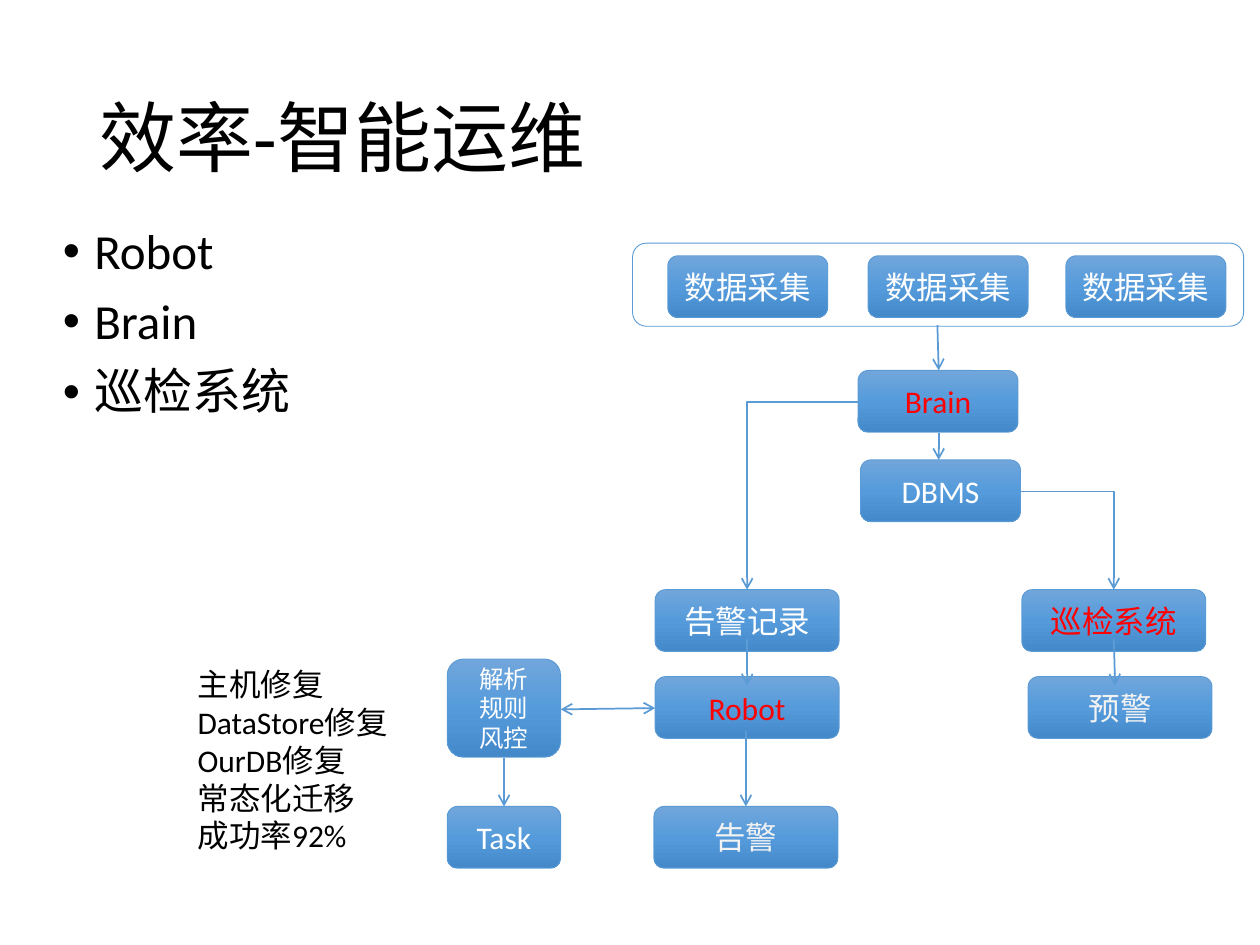
from copy import deepcopy

from lxml.etree import SubElement
from pptx import Presentation
from pptx.dml.color import RGBColor
from pptx.enum.shapes import MSO_CONNECTOR, MSO_SHAPE
from pptx.enum.text import MSO_ANCHOR, PP_ALIGN
from pptx.oxml.ns import qn
from pptx.util import Inches, Pt

COLORS = {
    "black": "000000", "white": "FFFFFF", "gray": "F2F2F2", "red": "FF0000",
    "line": "5B9BD5", "top": "71A6DB", "middle": "559BDB", "bottom": "448ACA",
}


def write_lines(shape, lines, size, color, align=PP_ALIGN.LEFT):
    """Write one paragraph per line and return the paragraphs."""
    frame = shape.text_frame
    frame.word_wrap = True
    for index, line in enumerate(lines):
        paragraph = frame.paragraphs[0] if index == 0 else frame.add_paragraph()
        paragraph.alignment = align
        run = paragraph.add_run()
        run.text = line
        run.font.name = "Calibri"
        run.font.size = Pt(size)
        run.font.color.rgb = RGBColor.from_string(COLORS[color])
    return frame.paragraphs


def add_rounded(left, top, width, height):
    """Add a rounded rectangle with the thin blue outline."""
    shape = slide.shapes.add_shape(
        MSO_SHAPE.ROUNDED_RECTANGLE,
        Inches(left), Inches(top), Inches(width), Inches(height))
    shape.shadow.inherit = False
    shape.line.color.rgb = RGBColor.from_string(COLORS["line"])
    shape.line.width = Pt(0.5)
    return shape


presentation = Presentation()
presentation.slide_width = Inches(10)
presentation.slide_height = Inches(7.5)
slide = presentation.slides.add_slide(presentation.slide_layouts[6])

# Title
title = slide.shapes.add_textbox(Inches(0.69), Inches(0.4), Inches(8.62), Inches(1.45))
title.text_frame.vertical_anchor = MSO_ANCHOR.MIDDLE
write_lines(title, ["效率-智能运维"], 44, "black")[0].line_spacing = 0.9

# Bullet list
bullets = slide.shapes.add_textbox(Inches(0.4), Inches(1.75), Inches(2.98), Inches(2.15))
for paragraph in write_lines(bullets, ["Robot", "Brain", "巡检系统"], 28, "black"):
    paragraph.line_spacing = 0.9
    paragraph.space_before = Pt(10)
    properties = paragraph._p.get_or_add_pPr()
    properties.set("marL", str(Inches(0.25)))
    properties.set("indent", str(-Inches(0.25)))
    SubElement(properties, qn("a:buFont")).set("typeface", "Arial")
    SubElement(properties, qn("a:buChar")).set("char", "•")

# Boxes: lines, left, top, width, height, text size, text colour
boxes = [
    (["数据采集"], 5.3, 2.03, 1.27, 0.49, 18, "white"),
    (["数据采集"], 6.89, 2.03, 1.27, 0.49, 18, "white"),
    (["数据采集"], 8.46, 2.03, 1.27, 0.49, 18, "white"),
    (["Brain"], 6.81, 2.94, 1.27, 0.49, 18, "red"),
    (["DBMS"], 6.83, 3.65, 1.27, 0.49, 18, "white"),
    (["告警记录"], 5.2, 4.68, 1.46, 0.49, 18, "white"),
    (["巡检系统"], 8.11, 4.68, 1.46, 0.49, 18, "red"),
    (["Robot"], 5.2, 5.37, 1.46, 0.49, 18, "red"),
    (["预警"], 8.16, 5.37, 1.46, 0.49, 18, "gray"),
    (["告警"], 5.19, 6.4, 1.46, 0.49, 18, "gray"),
    (["解析", "规则", "风控"], 3.55, 5.23, 0.9, 0.78, 14, "white"),
    (["Task"], 3.55, 6.4, 0.9, 0.49, 18, "white"),
]
for lines, left, top, width, height, size, color in boxes:
    box = add_rounded(left, top, width, height)
    box.fill.gradient()
    box.fill.gradient_angle = 270
    stop_list = box._element.spPr.find(qn("a:gradFill")).find(qn("a:gsLst"))
    stop_list.insert(1, deepcopy(stop_list[0]))
    stops = zip(box.fill.gradient_stops, (0, 0.5, 1), ("top", "middle", "bottom"))
    for stop, position, name in stops:
        stop.position = position
        stop.color.rgb = RGBColor.from_string(COLORS[name])
    box.text_frame.vertical_anchor = MSO_ANCHOR.MIDDLE
    write_lines(box, lines, size, color, PP_ALIGN.CENTER)

# Frame around the data collectors
add_rounded(5.02, 1.93, 4.85, 0.66).fill.background()

# Arrows: start, end, bent, arrowheads
arrows = [
    ((7.44, 2.58), (7.45, 2.94), False, ["tailEnd"]),
    ((7.45, 3.44), (7.45, 3.65), False, ["tailEnd"]),
    ((6.81, 3.19), (5.93, 4.68), True, ["tailEnd"]),
    ((8.1, 3.9), (8.84, 4.68), True, ["tailEnd"]),
    ((5.93, 5.07), (5.93, 5.44), False, ["tailEnd"]),
    ((5.92, 5.8), (5.92, 6.4), False, ["tailEnd"]),
    ((8.84, 5.07), (8.85, 5.44), False, ["tailEnd"]),
    ((4.45, 5.63), (5.2, 5.62), False, ["headEnd", "tailEnd"]),
    ((4, 6.02), (4, 6.4), False, ["tailEnd"]),
]
for start, end, bent, heads in arrows:
    kind = MSO_CONNECTOR.ELBOW if bent else MSO_CONNECTOR.STRAIGHT
    connector = slide.shapes.add_connector(
        kind, *[Inches(value) for value in start + end])
    connector.line.color.rgb = RGBColor.from_string(COLORS["line"])
    connector.line.width = Pt(1)
    shape_properties = connector._element.spPr
    if bent:
        shape_properties.find(qn("a:prstGeom")).set("prst", "bentConnector2")
    for head in heads:
        SubElement(shape_properties.find(qn("a:ln")), qn(f"a:{head}")).set("type", "arrow")
    SubElement(shape_properties, qn("a:effectLst"))

# Repair notes
notes = slide.shapes.add_textbox(Inches(1.47), Inches(5.23), Inches(1.76), Inches(1.92))
write_lines(
    notes,
    ["主机修复", "DataStore修复", "OurDB修复", "常态化迁移", "成功率92%"],
    18, "black")

presentation.save("out.pptx")
